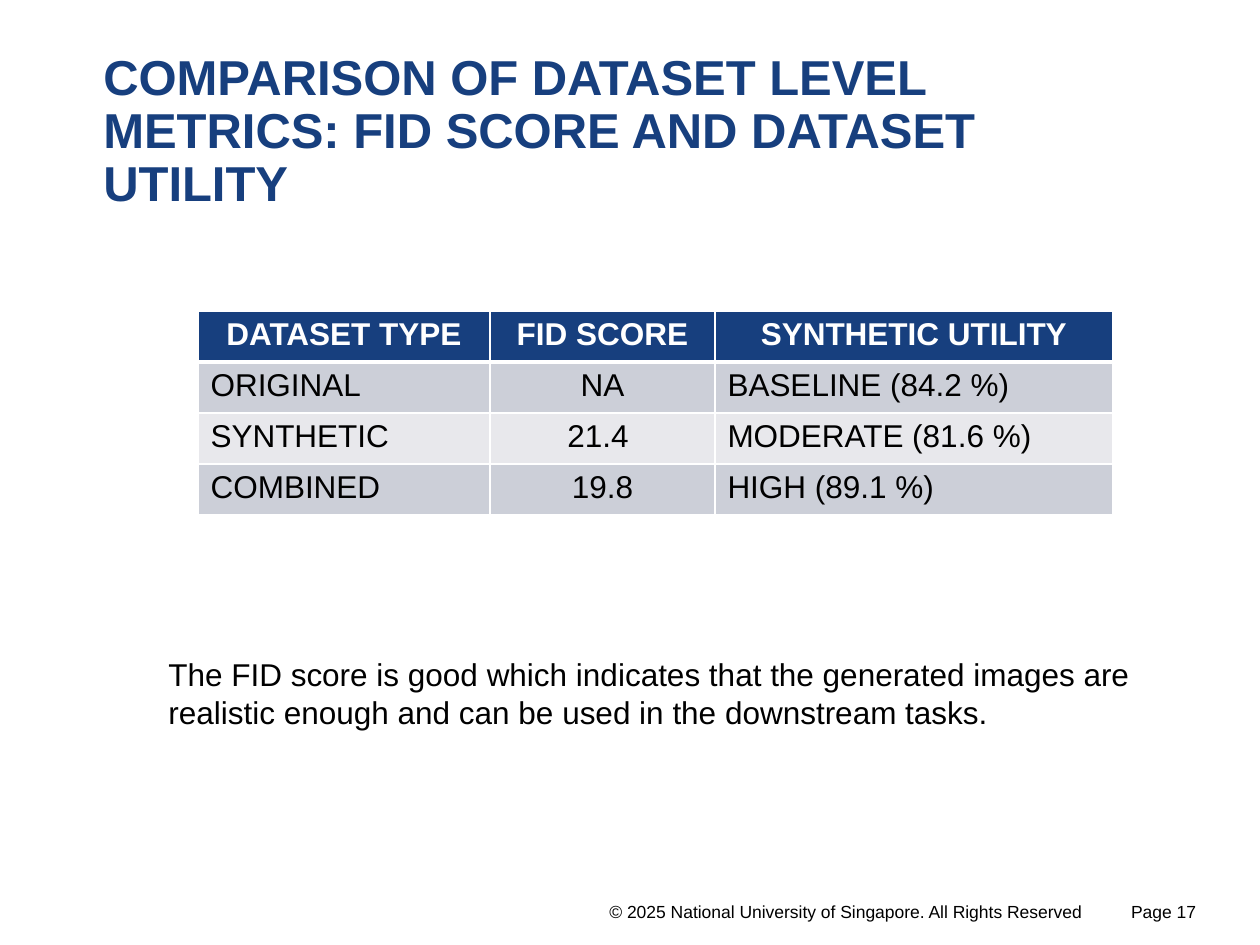
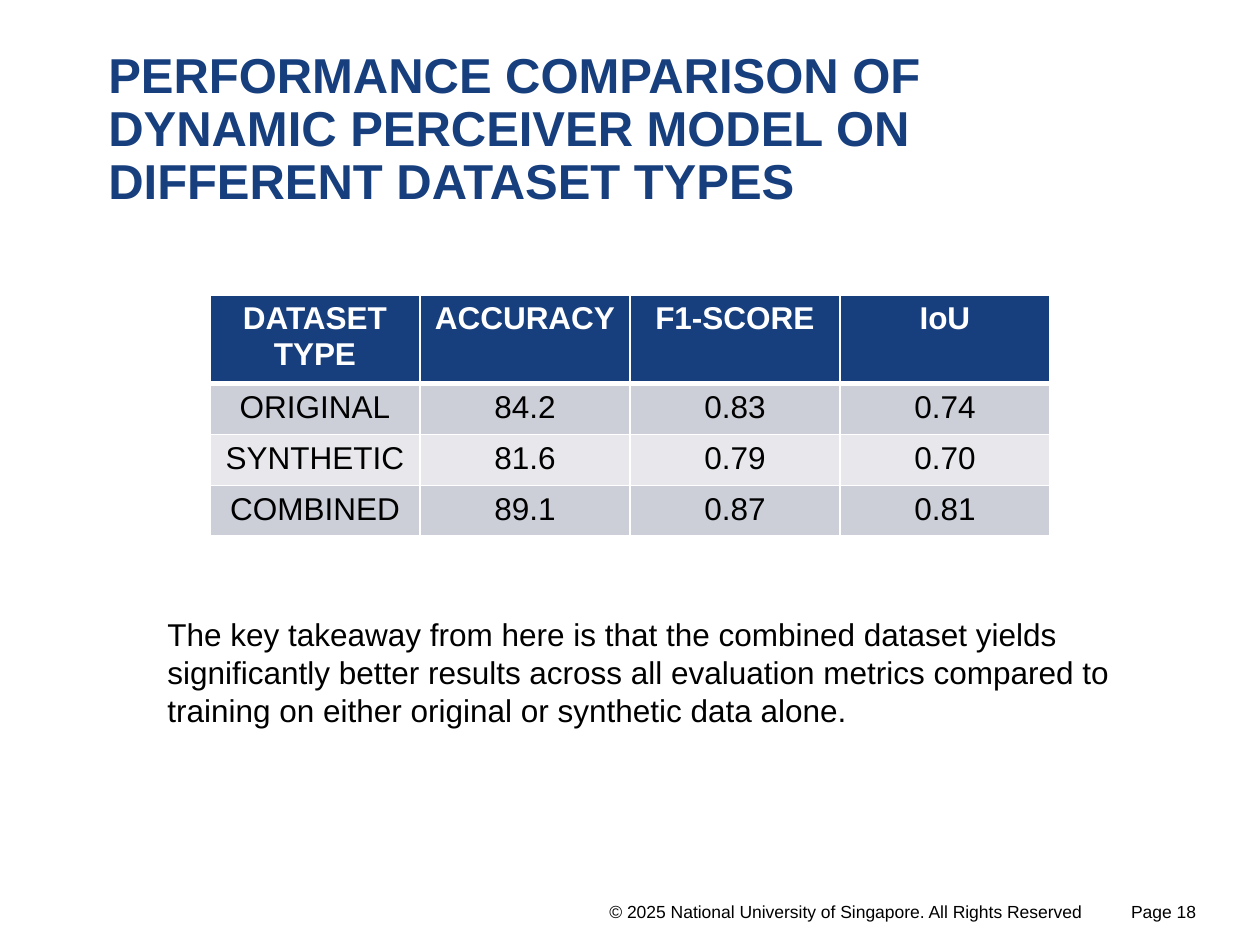
from lxml.etree import SubElement
from pptx import Presentation
from pptx.dml.color import RGBColor
from pptx.enum.text import MSO_ANCHOR, PP_ALIGN
from pptx.oxml.ns import qn
from pptx.util import Pt

EMU_PER_PX = 914400 / 126
FONT = "Arial"
COLORS = {
    "navy": "173F7E",
    "white": "FFFFFF",
    "black": "000000",
    "band_dark": "CCCFD8",
    "band_light": "E8E8EC",
}
COPYRIGHT = "© 2025 National University of Singapore. All Rights Reserved"
ROW_HEIGHT = 51
LEFT, CENTER = PP_ALIGN.LEFT, PP_ALIGN.CENTER


def px(n):
    return round(n * EMU_PER_PX)


def rgb(name):
    return RGBColor.from_string(COLORS[name])


def style_paragraph(p, size, color="black", bold=False, align=LEFT):
    p.alignment = align
    p.font.name = FONT
    p.font.size = Pt(size)
    p.font.bold = bold
    p.font.color.rgb = rgb(color)


def add_text(slide, box, text, size, **style):
    tf = slide.shapes.add_textbox(*map(px, box)).text_frame
    tf.word_wrap = True
    p = tf.paragraphs[0]
    p.text = text
    style_paragraph(p, size, **style)
    return tf


def add_title(slide, box, text):
    tf = add_text(slide, box, text, 28, color="navy", bold=True)
    tf.vertical_anchor = MSO_ANCHOR.MIDDLE
    tf.paragraphs[0].line_spacing = 0.9


def add_footer(slide, page):
    add_text(slide, (597, 895, 508, 33), COPYRIGHT, 10)
    add_text(slide, (1086, 895, 155, 33), f"Page {page}", 10, align=CENTER)


def set_borders(cell, top, bottom):
    """Draw white cell borders; top and bottom are widths in points."""
    tc_pr = cell._tc.get_or_add_tcPr()
    widths = {"a:lnL": 1, "a:lnR": 1, "a:lnT": top, "a:lnB": bottom}
    for tag, width in widths.items():
        ln = SubElement(tc_pr, qn(tag), w=str(Pt(width)))
        fill = SubElement(ln, qn("a:solidFill"))
        SubElement(fill, qn("a:srgbClr"), val=COLORS["white"])


def style_cell(cell, text, row, align):
    header = row == 0
    set_borders(cell, top=3 if row == 1 else 1, bottom=3 if header else 1)
    cell.fill.solid()
    band = "band_dark" if row % 2 else "band_light"
    cell.fill.fore_color.rgb = rgb("navy" if header else band)
    p = cell.text_frame.paragraphs[0]
    p.text = text
    style_paragraph(p, 18, "white" if header else "black", header,
                    CENTER if header else align)


def add_metrics_table(slide, left, top, widths, rows, aligns,
                      header_height=ROW_HEIGHT):
    heights = [header_height] + [ROW_HEIGHT] * (len(rows) - 1)
    table = slide.shapes.add_table(
        len(rows), len(widths), px(left), px(top),
        px(sum(widths)), px(sum(heights))).table
    for column, width in zip(table.columns, widths):
        column.width = px(width)
    for r, (values, height) in enumerate(zip(rows, heights)):
        table.rows[r].height = px(height)
        for c, (text, align) in enumerate(zip(values, aligns)):
            style_cell(table.cell(r, c), text, r, align)


def new_slide(prs, page):
    slide = prs.slides.add_slide(prs.slide_layouts[6])
    add_footer(slide, page)
    return slide


def add_dataset_metrics_slide(prs):
    slide = new_slide(prs, 17)
    add_title(slide, (91, 31, 932, 204),
              "COMPARISON OF DATASET LEVEL METRICS: "
              "FID SCORE AND DATASET UTILITY")
    rows = [
        ("DATASET TYPE", "FID SCORE", "SYNTHETIC UTILITY"),
        ("ORIGINAL", "NA", "BASELINE (84.2 %)"),
        ("SYNTHETIC", "21.4 ", "MODERATE (81.6 %)"),
        ("COMBINED", "19.8", "HIGH (89.1 %)"),
    ]
    add_metrics_table(slide, 198, 311, (292, 225, 398), rows,
                      (LEFT, CENTER, LEFT))
    add_text(slide, (156, 649, 1066, 89),
             "The FID score is good which indicates that the generated images "
             "are realistic enough and can be used in the downstream tasks.",
             18)


def add_model_performance_slide(prs):
    slide = new_slide(prs, 18)
    add_title(slide, (96, 29, 910, 204),
              "PERFORMANCE COMPARISON OF DYNAMIC PERCEIVER MODEL "
              "ON DIFFERENT DATASET TYPES")
    rows = [
        ("DATASET TYPE", "ACCURACY", "F1-SCORE", "IoU"),
        ("ORIGINAL", "84.2", "0.83", "0.74"),
        ("SYNTHETIC", "81.6", "0.79", "0.70"),
        ("COMBINED", "89.1", "0.87", "0.81"),
    ]
    add_metrics_table(slide, 210, 295, [210] * 4, rows, [CENTER] * 4,
                      header_height=83)
    add_text(slide, (155, 609, 987, 165),
             "The key takeaway from here is that the combined dataset yields "
             "significantly better results across all evaluation metrics "
             "compared to training on either original or synthetic data "
             "alone.", 18)


def main():
    prs = Presentation()
    prs.slide_width, prs.slide_height = px(1260), px(945)
    add_dataset_metrics_slide(prs)
    add_model_performance_slide(prs)
    prs.save("out.pptx")


if __name__ == "__main__":
    main()
